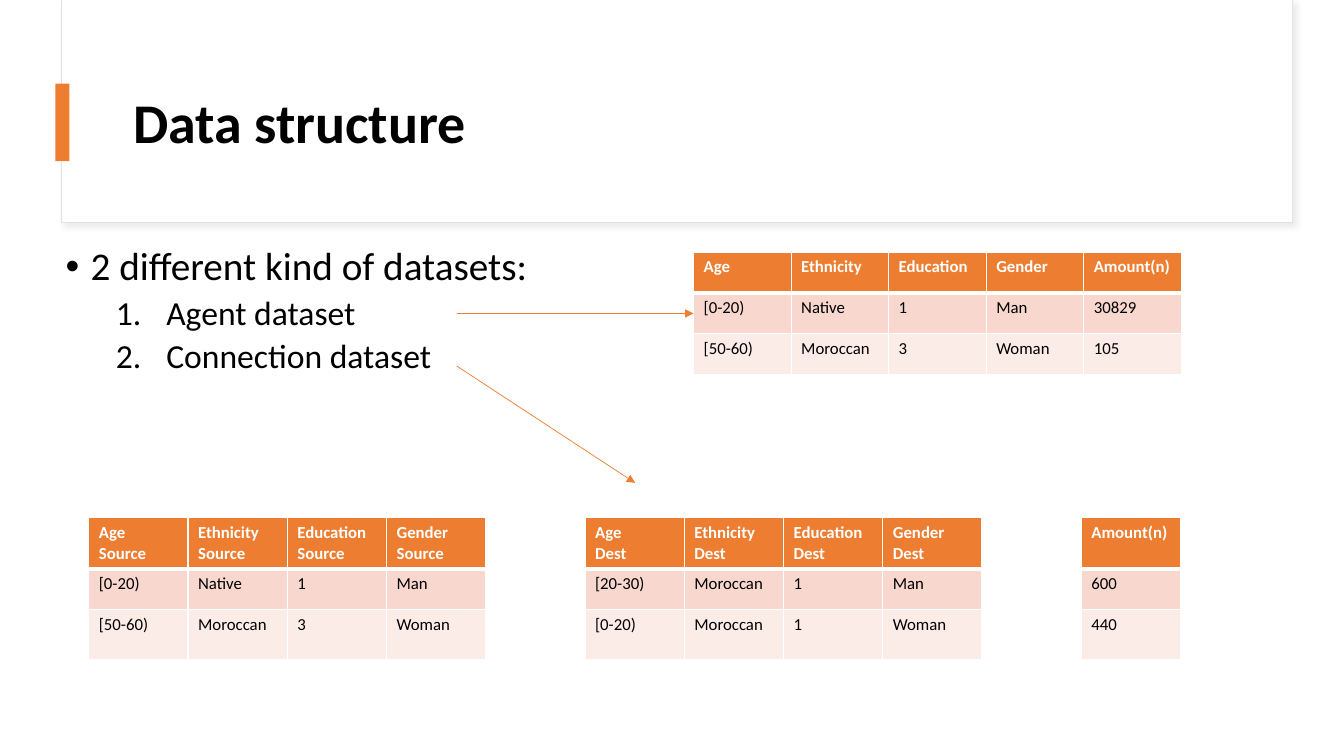
import pptx
import pptx.util
import pptx.dml.color
import pptx.enum.shapes
import pptx.enum.text
import pptx.oxml
import pptx.oxml.ns
from lxml import etree

Pt = pptx.util.Pt
HUES = {"white": "FFFFFF", "black": "000000", "edge": "E1E1E1", "shade": "D9D9D9",
        "orange": "ED7D31", "odd": "F8D7CE", "even": "FCECE8"}
NS = 'xmlns:a="http://schemas.openxmlformats.org/drawingml/2006/main"'


def color(name):
    return pptx.dml.color.RGBColor.from_string(HUES[name])


def write(para, text, size, hue="black", bold=False):
    run = para.add_run()
    run.text = text
    run.font.name = "Calibri"
    run.font.size = Pt(size)
    run.font.bold = bold
    run.font.color.rgb = color(hue)


deck = pptx.Presentation()
deck.slide_width, deck.slide_height = Pt(960), Pt(540)
slide = deck.slides.add_slide(deck.slide_layouts[1])
shapes = slide.shapes
title, body = shapes.title, slide.placeholders[1]

# Title panel and accent bar
panels = [(44, 0, 879, 159, "white", "edge"), (44.5, 0, 878.5, 158.5, "white", None),
          (39.6, 59.8, 10, 55.4, "orange", None)]
for left, top, width, height, fill, line in panels:
    panel = shapes.add_shape(pptx.enum.shapes.MSO_SHAPE.RECTANGLE,
                             Pt(left), Pt(top), Pt(width), Pt(height))
    panel.shadow.inherit = False
    panel.fill.solid()
    panel.fill.fore_color.rgb = color(fill)
    if line:
        panel.line.color.rgb = color(line)
        panel.line.width = Pt(0.75)
        glow = panel._element.spPr.find(pptx.oxml.ns.qn("a:effectLst"))
        glow.append(pptx.oxml.parse_xml(
            f'<a:outerShdw {NS} blurRad="{Pt(4)}" dist="{Pt(3)}" dir="2700000" algn="tl" '
            f'rotWithShape="0"><a:srgbClr val="{HUES["shade"]}"><a:alpha val="50000"/>'
            '</a:srgbClr></a:outerShdw>'))
    else:
        panel.line.fill.background()

# Title and list, placed in front of the panel
boxes = [(title, 87.84, 43.2, 800.64, 92.88), (body, 39.6, 172.8, 828, 342.72)]
for box, left, top, width, height in boxes:
    box.left, box.top, box.width, box.height = Pt(left), Pt(top), Pt(width), Pt(height)
    box.text_frame.auto_size = pptx.enum.text.MSO_AUTO_SIZE.NONE
    box.text_frame.word_wrap = True
    shapes._spTree.append(box._element)
title.text_frame.vertical_anchor = pptx.enum.text.MSO_ANCHOR.MIDDLE
head = title.text_frame.paragraphs[0]
head.alignment = pptx.enum.text.PP_ALIGN.LEFT
head.line_spacing = 0.9
write(head, "Data structure", 40, bold=True)

dot = f'<a:buChar {NS} char="•"/>'
count = f'<a:buAutoNum {NS} type="arabicPeriod"/>'
items = [("2 different kind of datasets:", 0, 28, 10, 18, 18, dot),
         ("Agent dataset", 1, 24, 5, 72, 36, count),
         ("Connection dataset", 1, 24, 5, 72, 36, count)]
for i, (text, level, size, before, margin, hang, mark) in enumerate(items):
    para = body.text_frame.paragraphs[0] if i == 0 else body.text_frame.add_paragraph()
    para.level = level
    para.line_spacing = 0.9
    para.space_before = Pt(before)
    props = para._p.get_or_add_pPr()
    props.set("marL", str(Pt(margin)))
    props.set("indent", str(-Pt(hang)))
    props.append(pptx.oxml.parse_xml(f'<a:buFont {NS} typeface="Arial"/>'))
    props.append(pptx.oxml.parse_xml(mark))
    write(para, text, size)

# Tables: left, top, column width, row heights, rows
agents = [["Age", "Ethnicity", "Education", "Gender", "Amount(n)"],
          ["[0-20)", "Native", "1", "Man", "30829"],
          ["[50-60)", "Moroccan", "3", "Woman", "105"]]
links = [["Age\nSource", "Ethnicity Source", "Education\nSource", "Gender\nSource", "",
          "Age\nDest", "Ethnicity Dest", "Education\nDest", "Gender\nDest", "", "Amount(n)"],
         ["[0-20)", "Native", "1", "Man", "", "[20-30)", "Moroccan", "1", "Man", "", "600"],
         ["[50-60)", "Moroccan", "3", "Woman", "", "[0-20)", "Moroccan", "1", "Woman", "", "440"]]
grids = [(495.4, 180, 69.7, [29.2, 29.2, 29.2], agents),
         (63.4, 369.7, 70.9, [36.5, 29.2, 36], links)]
for left, top, wide, highs, rows in grids:
    cols = len(rows[0])
    table = shapes.add_table(len(rows), cols, Pt(left), Pt(top),
                             Pt(wide * cols), Pt(sum(highs))).table
    for col in table.columns:
        col.width = Pt(wide)
    for r, row in enumerate(rows):
        table.rows[r].height = Pt(highs[r])
        for c, text in enumerate(row):
            cell = table.cell(r, c)
            props = cell._tc.get_or_add_tcPr()
            for side in "LRTB":
                thick = 3 if (r, side) in ((0, "B"), (1, "T")) else 1
                props.append(pptx.oxml.parse_xml(
                    f'<a:ln{side} {NS} w="{Pt(thick)}"><a:solidFill>'
                    f'<a:srgbClr val="{HUES["white"]}"/></a:solidFill></a:ln{side}>'))
            cell.fill.solid()
            cell.fill.fore_color.rgb = color(("orange", "odd", "even")[r] if text else "white")
            if not text:
                cell.text_frame.paragraphs[0].font.size = Pt(12)
                continue
            for n, part in enumerate(text.split("\n")):
                frame = cell.text_frame
                para = frame.paragraphs[0] if n == 0 else frame.add_paragraph()
                write(para, part, 12, "black" if r else "white", r == 0)

# Arrows from the list to the tables
for x1, y1, x2, y2 in [(326.2, 223.9, 495.4, 223.9), (326.2, 261.4, 453.6, 344.9)]:
    arrow = shapes.add_connector(pptx.enum.shapes.MSO_CONNECTOR.STRAIGHT,
                                 Pt(x1), Pt(y1), Pt(x2), Pt(y2))
    arrow.line.color.rgb = color("orange")
    arrow.line.width = Pt(0.5)
    tip = etree.SubElement(arrow.line._get_or_add_ln(), pptx.oxml.ns.qn("a:tailEnd"))
    tip.set("type", "triangle")
    etree.SubElement(arrow._element.spPr, pptx.oxml.ns.qn("a:effectLst"))

deck.save("out.pptx")
